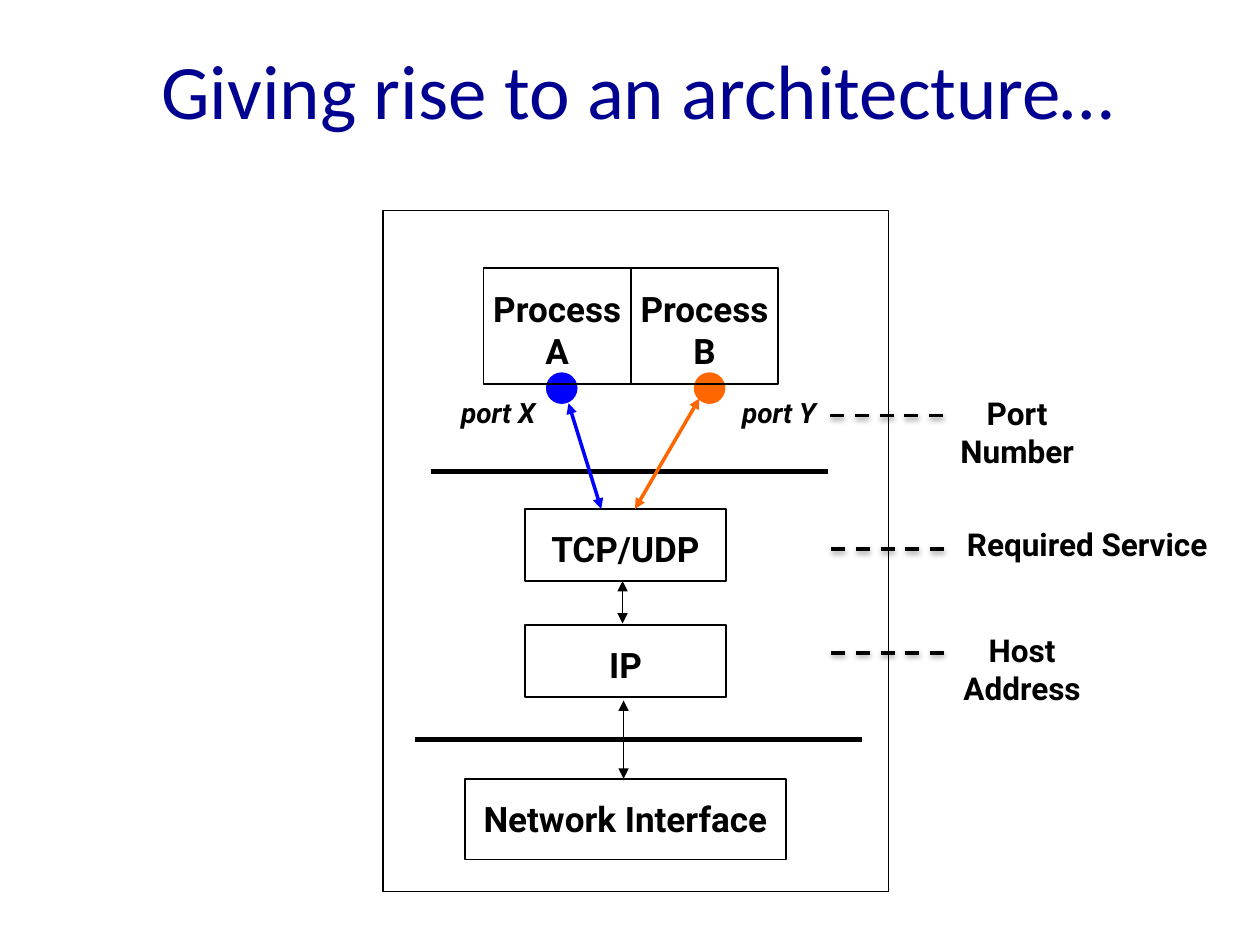
from lxml import etree
from pptx import Presentation
from pptx.dml.color import RGBColor
from pptx.enum import dml, shapes, text
from pptx.oxml import ns
from pptx.util import Cm, Pt

BLACK = RGBColor(0x00, 0x00, 0x00)
NAVY = RGBColor(0x00, 0x00, 0x90)
BLUE = RGBColor(0x00, 0x00, 0xFF)
ORANGE = RGBColor(0xFF, 0x66, 0x00)


def write(holder, content, size=20, font="Roboto", color=BLACK, bold=True,
          italic=False, wrap=False, insets=(0.25, 0.38, 0.25, 0.38),
          anchor=text.MSO_ANCHOR.TOP):
    """Put centred text into a shape; each line of content is a paragraph."""
    frame = holder.text_frame
    frame.text = content
    frame.word_wrap = wrap
    frame.auto_size = text.MSO_AUTO_SIZE.NONE
    frame.vertical_anchor = anchor
    (frame.margin_left, frame.margin_top,
     frame.margin_right, frame.margin_bottom) = [Cm(inset) for inset in insets]
    for paragraph in frame.paragraphs:
        paragraph.alignment = text.PP_ALIGN.CENTER
        face = paragraph.runs[0].font
        face.name, face.size, face.bold, face.italic = font, Pt(size), bold, italic
        face.color.rgb = color


def link(start, end, width, color=BLACK, arrows=False, dashed=False):
    """Draw a straight line, with arrowheads or as a shadowed dash on request."""
    line = slide.shapes.add_connector(
        shapes.MSO_CONNECTOR.STRAIGHT, *[Cm(value) for value in start + end])
    line.line.color.rgb = color
    line.line.width = Pt(width)
    if dashed:
        line.line.dash_style = dml.MSO_LINE.DASH
    if arrows:
        for tip in ("a:headEnd", "a:tailEnd"):
            etree.SubElement(line.line._get_or_add_ln(), ns.qn(tip), type="triangle")
    effects = etree.SubElement(line._element.spPr, ns.qn("a:effectLst"))
    if dashed:
        shadow = etree.SubElement(effects, ns.qn("a:outerShdw"), blurRad="40000",
                                  dist="20000", dir="5400000", rotWithShape="0")
        tint = etree.SubElement(shadow, ns.qn("a:srgbClr"), val=str(BLACK))
        etree.SubElement(tint, ns.qn("a:alpha"), val="38000")


deck = Presentation()
deck.slide_width, deck.slide_height = Cm(25.4), Cm(19.05)
slide = deck.slides.add_slide(deck.slide_layouts[5])

title = slide.shapes.title
title.left, title.top, title.width, title.height = Cm(1.27), Cm(0.2), Cm(22.86), Cm(3.18)
write(title, " Giving rise to an architecture…", size=44, font="Calibri", color=NAVY,
      bold=False, wrap=True, insets=(0.25, 0.13, 0.25, 0.13),
      anchor=text.MSO_ANCHOR.MIDDLE)

# Ports under the processes
for left, color in ((11.02, BLUE), (14.0, ORANGE)):
    port = slide.shapes.add_shape(
        shapes.MSO_SHAPE.OVAL, Cm(left), Cm(7.52), Cm(0.61), Cm(0.61))
    port.shadow.inherit = False
    port.fill.solid()
    port.fill.fore_color.rgb = color
    port.line.color.rgb = color
    port.line.width = Pt(0.75)

# Host frame and the layers inside it
for content, left, top, width, height, border in (
        ("", 7.72, 4.24, 10.19, 13.74, 0.75),
        ("Process\nA", 9.75, 5.41, 2.97, 2.34, 1),
        ("Process\nB", 12.72, 5.41, 2.97, 2.34, 1),
        ("TCP/UDP", 10.59, 10.26, 4.04, 1.45, 1),
        ("IP", 10.59, 12.6, 4.04, 1.45, 1),
        ("Network Interface", 9.37, 15.7, 6.48, 1.63, 1)):
    layer = slide.shapes.add_shape(
        shapes.MSO_SHAPE.RECTANGLE, Cm(left), Cm(top), Cm(width), Cm(height))
    layer.shadow.inherit = False
    layer.fill.background()
    layer.line.color.rgb = BLACK
    layer.line.width = Pt(border)
    if content:
        write(layer, content)

# Boundaries between layers
link((8.69, 9.5), (16.69, 9.5), 3)
link((8.36, 14.91), (17.37, 14.91), 3)

# Data paths
link((11.46, 8.13), (12.12, 10.26), 2, BLUE, arrows=True)
link((14.1, 8.03), (12.8, 10.26), 2, ORANGE, arrows=True)
link((12.55, 11.71), (12.55, 12.57), 0.75, arrows=True)
link((12.57, 14.12), (12.57, 15.7), 0.75, arrows=True)

for content, left in (("port X", 8.94), ("port Y", 14.6)):
    port_name = slide.shapes.add_textbox(Cm(left), Cm(7.82), Cm(2.21), Cm(0.97))
    write(port_name, content, size=16, italic=True, insets=(0.28, 0.15, 0.28, 0.15))

# Notes at the right; the two-line ones wrap in a narrow column
column = 2.41
for content, left, top, width, wrap, dash_left, dash_top in (
        ("Port Number", 19.05, 7.82, 4.14, True, 16.74, 8.38),
        ("Required Service", 19.05, 10.46, 5.74, False, 16.76, 11.07),
        ("Host Address", 19.15, 12.6, 4.32, True, 16.76, 13.16)):
    link((dash_left, dash_top), (dash_left + 2.31, dash_top), 2, dashed=True)
    note = slide.shapes.add_textbox(Cm(left), Cm(top), Cm(width), Cm(1.02))
    right_inset = width - 0.25 - column if wrap else 0.25
    write(note, content, size=18, wrap=wrap, insets=(0.25, 0.13, right_inset, 0.13))

deck.save("out.pptx")
